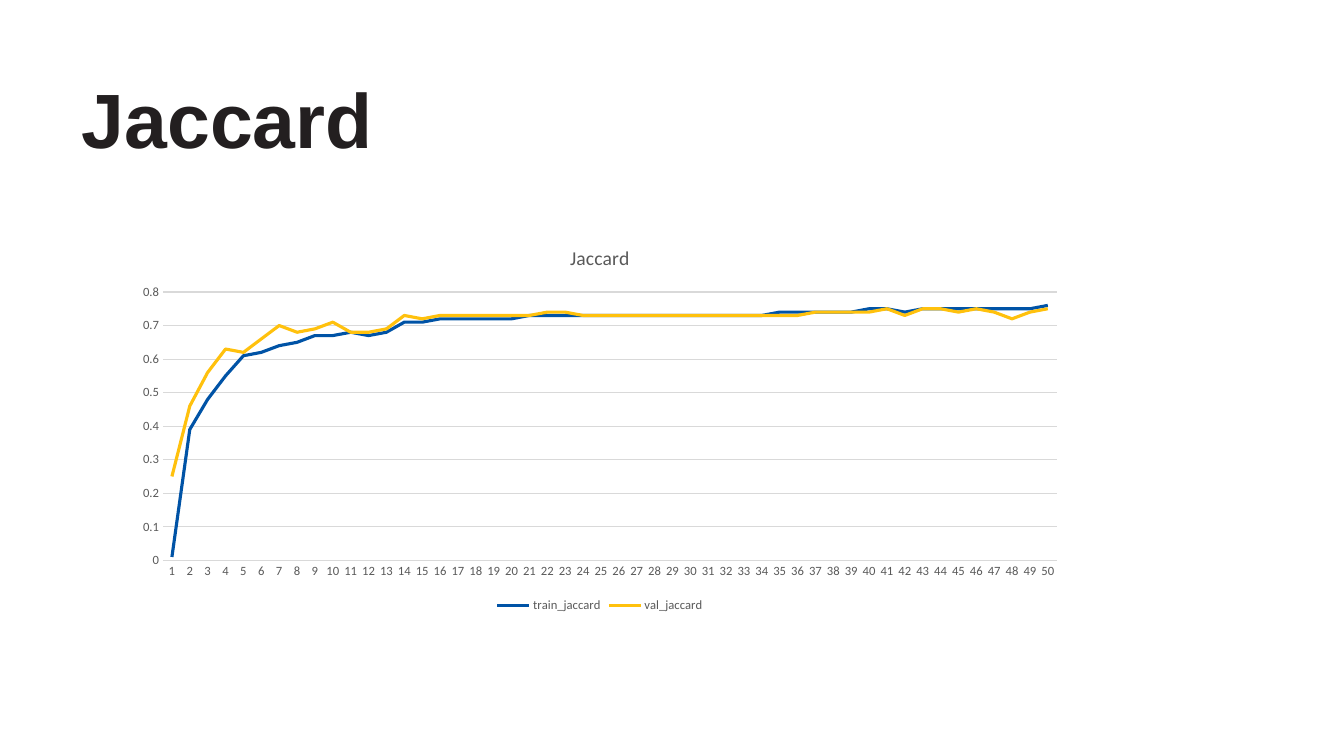
from pptx import Presentation, util as u
from pptx.chart.data import CategoryChartData
from pptx.dml.color import RGBColor
from pptx.enum import chart as ch, text

PX = 9144
HUES = {
    "ink": "231F20",
    "label": "595959",
    "grid": "D9D9D9",
    "train": "0053A6",
    "val": "FFC10D",
}
TRAIN = [
    0.01, 0.39, 0.48, 0.55, 0.61, 0.62, 0.64, 0.65, 0.67, 0.67,
    0.68, 0.67, 0.68, 0.71, 0.71, 0.72, 0.72, 0.72, 0.72, 0.72,
    0.73, 0.73, 0.73, 0.73, 0.73, 0.73, 0.73, 0.73, 0.73, 0.73,
    0.73, 0.73, 0.73, 0.73, 0.74, 0.74, 0.74, 0.74, 0.74, 0.75,
    0.75, 0.74, 0.75, 0.75, 0.75, 0.75, 0.75, 0.75, 0.75, 0.76,
]
VAL = [
    0.25, 0.46, 0.56, 0.63, 0.62, 0.66, 0.7, 0.68, 0.69, 0.71,
    0.68, 0.68, 0.69, 0.73, 0.72, 0.73, 0.73, 0.73, 0.73, 0.73,
    0.73, 0.74, 0.74, 0.73, 0.73, 0.73, 0.73, 0.73, 0.73, 0.73,
    0.73, 0.73, 0.73, 0.73, 0.73, 0.73, 0.74, 0.74, 0.74, 0.74,
    0.75, 0.73, 0.75, 0.75, 0.74, 0.75, 0.74, 0.72, 0.74, 0.75,
]


def px(*nums):
    return [u.Emu(n * PX) for n in nums]


def hue(name):
    return RGBColor.from_string(HUES[name])


def style(font, face, size, name, bold=False):
    font.name = face
    font.size = u.Pt(size)
    font.bold = bold
    font.color.rgb = hue(name)


def stroke(line, name, width):
    line.color.rgb = hue(name)
    line.width = u.Pt(width)


def add_title(slide, words, *box):
    title = slide.shapes.title
    title.left, title.top, title.width, title.height = px(*box)
    frame = title.text_frame
    frame.text = words
    frame.auto_size = text.MSO_AUTO_SIZE.NONE
    frame.vertical_anchor = text.MSO_ANCHOR.MIDDLE
    para = frame.paragraphs[0]
    para.alignment = text.PP_ALIGN.LEFT
    para.line_spacing = 0.9
    style(para.runs[0].font, "Arial", 55, "ink", True)


def style_axis(axis):
    axis.major_tick_mark = axis.minor_tick_mark = ch.XL_TICK_MARK.NONE
    style(axis.tick_labels.font, "Calibri", 9, "label")


def add_lines(slide, words, rows, *box):
    data = CategoryChartData()
    data.categories = [str(n + 1) for n in range(len(TRAIN))]
    for name, vals, _ in rows:
        data.add_series(name, vals)
    chart = slide.shapes.add_chart(ch.XL_CHART_TYPE.LINE, *px(*box), data).chart
    style(chart.font, "Calibri", 10, "label")

    chart.has_title = True
    chart.chart_title.include_in_layout = False
    frame = chart.chart_title.text_frame
    frame.text = words
    style(frame.paragraphs[0].runs[0].font, "Calibri", 14, "label")

    chart.has_legend = True
    chart.legend.position = ch.XL_LEGEND_POSITION.BOTTOM
    chart.legend.include_in_layout = False
    style(chart.legend.font, "Calibri", 9, "label")

    epochs, score = chart.category_axis, chart.value_axis
    style_axis(epochs)
    style_axis(score)
    stroke(epochs.format.line, "grid", 0.75)
    score.format.line.fill.background()
    score.has_major_gridlines = True
    stroke(score.major_gridlines.format.line, "grid", 0.75)
    score.minimum_scale, score.maximum_scale, score.major_unit = 0, 0.8, 0.1

    chart.plots[0].vary_by_categories = False
    for line, (_, _, name) in zip(chart.plots[0].series, rows):
        line.smooth = False
        line.marker.style = ch.XL_MARKER_STYLE.NONE
        stroke(line.format.line, name, 2.25)


def main():
    deck = Presentation()
    deck.slide_width, deck.slide_height = px(1333, 750)
    slide = deck.slides.add_slide(deck.slide_layouts[5])
    add_title(slide, "Jaccard", 71, 75, 572, 95)
    rows = [("train_jaccard", TRAIN, "train"), ("val_jaccard", VAL, "val")]
    add_lines(slide, "Jaccard", rows, 123, 226, 944, 386)
    deck.save("out.pptx")


if __name__ == "__main__":
    main()
